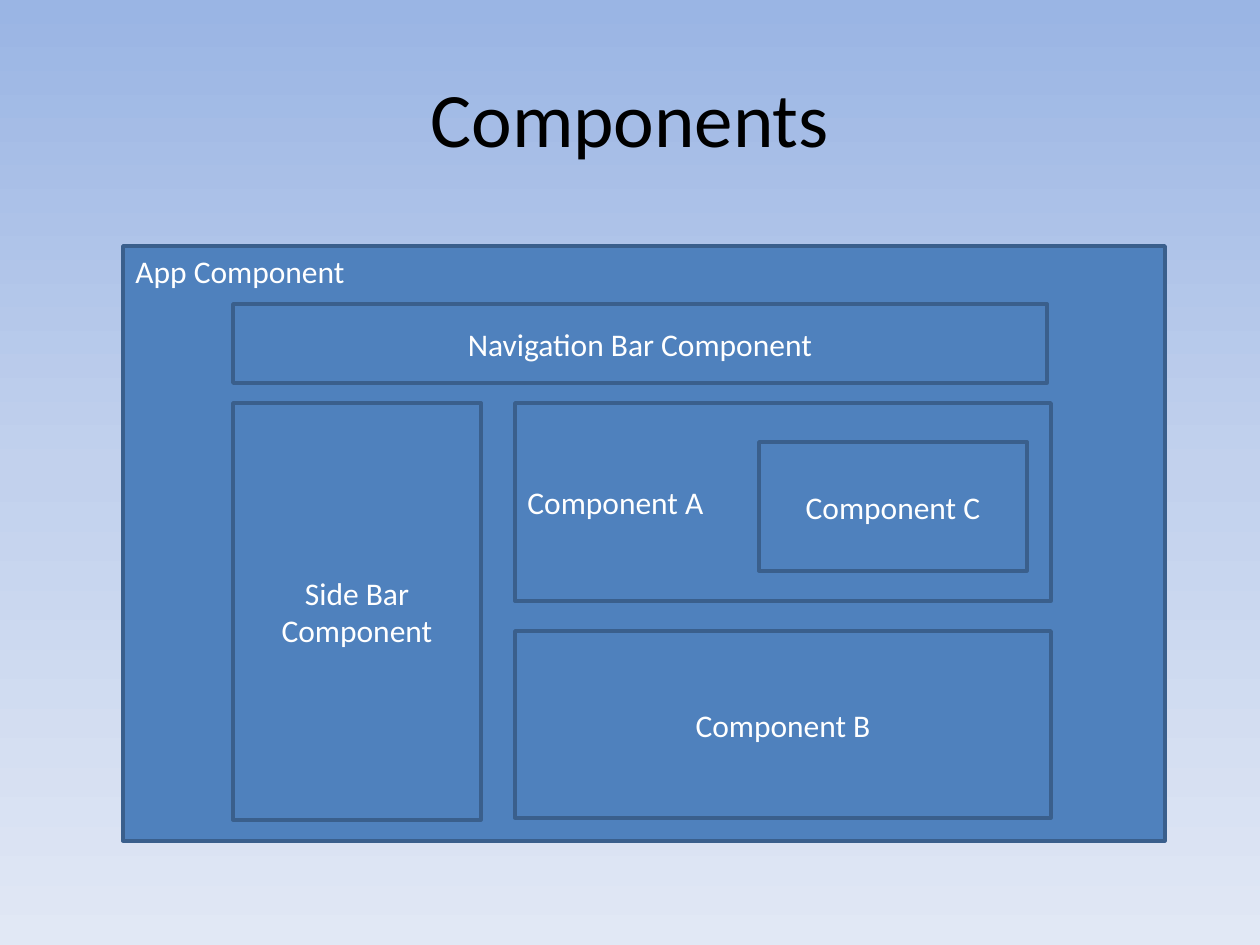
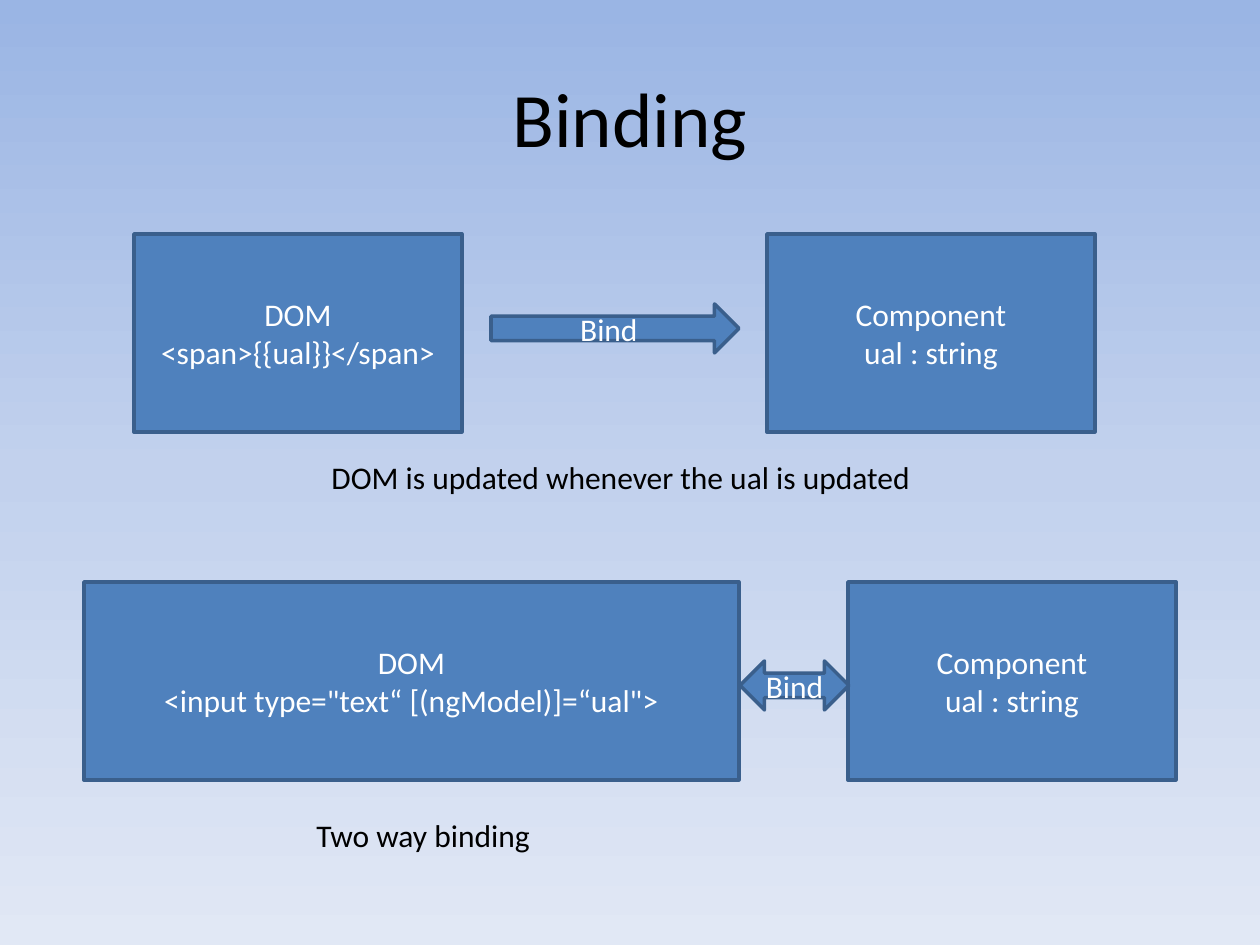
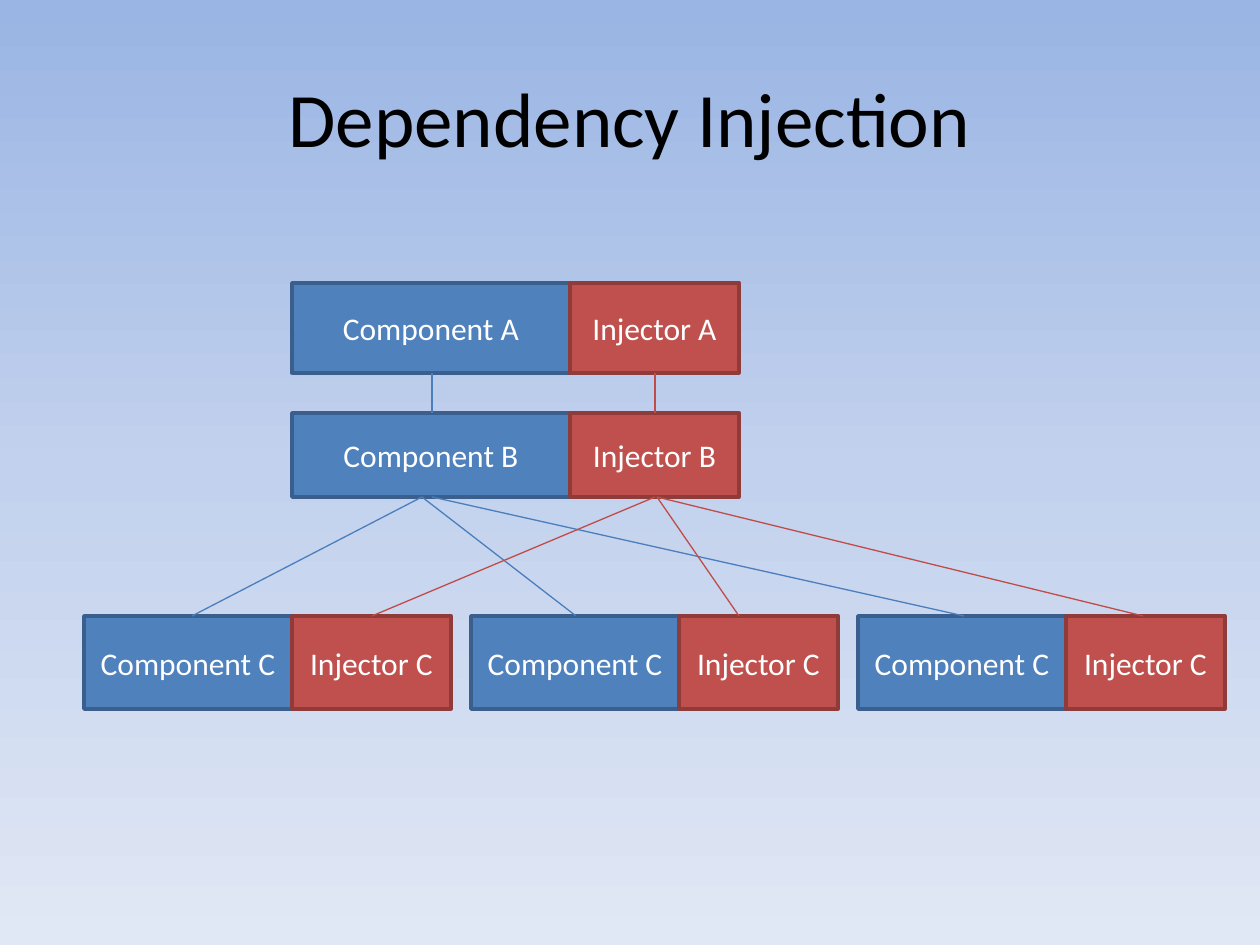
from copy import deepcopy

from pptx import Presentation
from pptx import util as u
from pptx.dml.color import RGBColor
from pptx.enum import shapes, text
from pptx.oxml.ns import qn

PIXEL = u.Inches(1) / 126
FONT = "Calibri"
BLACK, WHITE = "000000", "FFFFFF"
BLUE, RED = ("4F81BD", "3A5F8C"), ("C0504D", "8E3B39")  # fill, outline
BLUE_LINK, RED_LINK = "4B7EBC", "BF4C48"
BACKGROUND = [(0, "9AB5E4"), (0.5, "C2D1ED"), (1, "E1E8F5")]
RECTANGLE = shapes.MSO_SHAPE.RECTANGLE
LEFT, CENTER = text.PP_ALIGN.LEFT, text.PP_ALIGN.CENTER
TOP, MIDDLE = text.MSO_ANCHOR.TOP, text.MSO_ANCHOR.MIDDLE


def rgb(value):
    """Turn a hex string into a colour."""
    return RGBColor.from_string(value)


def add_text(slide, box, words, colors=None, kind=RECTANGLE, align=CENTER,
             anchor=MIDDLE, size=18, wrap=True):
    """Add a filled shape, or a plain text box when no colors are given."""
    place = [round(length * PIXEL) for length in box]
    if colors:
        shape = slide.shapes.add_shape(kind, *place)
        shape.shadow.inherit = False
        shape.fill.solid()
        shape.fill.fore_color.rgb = rgb(colors[0])
        shape.line.color.rgb = rgb(colors[1])
        shape.line.width = u.Pt(2)
    else:
        shape = slide.shapes.add_textbox(*place)
    frame = shape.text_frame
    frame.text = words
    frame.word_wrap = wrap
    frame.vertical_anchor = anchor
    if not wrap:
        frame.auto_size = text.MSO_AUTO_SIZE.SHAPE_TO_FIT_TEXT
    for paragraph in frame.paragraphs:
        paragraph.alignment = align
        paragraph.font.name = FONT
        paragraph.font.size = u.Pt(size)
        paragraph.font.color.rgb = rgb(WHITE if colors else BLACK)


presentation = Presentation()
presentation.slide_width = round(1260 * PIXEL)
presentation.slide_height = round(945 * PIXEL)

# Shared background: a vertical gradient on the master
master = presentation.slide_master
fill = master.background.fill
fill.gradient()
fill.gradient_angle = 270
stop_list = master.element.find(".//" + qn("a:gsLst"))
stop_list.insert(1, deepcopy(stop_list[0]))
for stop, (position, color) in zip(fill.gradient_stops, BACKGROUND):
    stop.position = position
    stop.color.rgb = rgb(color)

# Shared titles
slides = []
for title in ["Components", "Binding", "Dependency Injection"]:
    slide = presentation.slides.add_slide(presentation.slide_layouts[6])
    add_text(slide, (63, 38, 1134, 158), title, size=44)
    slides.append(slide)
components, binding, injection = slides

# Components: nested boxes
add_text(components, (123, 246, 1042, 595), "App Component", BLUE,
         align=LEFT, anchor=TOP)
for box, words, align in [
    ((233, 304, 814, 79), "Navigation Bar Component", CENTER),
    ((233, 403, 248, 417), "Side Bar Component", CENTER),
    ((515, 403, 536, 198), "Component A", LEFT),
    ((515, 631, 536, 187), "Component B", CENTER),
    ((759, 442, 268, 129), "Component C", CENTER),
]:
    add_text(components, box, words, BLUE, align=align)

# Binding: DOM, arrow and component in each row, with a caption below
for top, dom, arrow, kind, component_left, markup, caption, caption_box in [
    (234, (134, 328), (491, 304, 248, 49), shapes.MSO_SHAPE.RIGHT_ARROW, 767,
     "<span>{{ual}}</span>",
     "DOM is updated whenever the ual is updated", (319, 452, 611, 50)),
    (582, (84, 655), (740, 661, 109, 49), shapes.MSO_SHAPE.LEFT_RIGHT_ARROW, 848,
     '<input type="text“ [(ngModel)]=“ual">',
     "Two way binding", (304, 810, 242, 50)),
]:
    dom_left, dom_width = dom
    add_text(binding, (dom_left, top, dom_width, 198), "DOM\n" + markup, BLUE)
    add_text(binding, (component_left, top, 328, 198),
             "Component\nual : string", BLUE)
    add_text(binding, arrow, "Bind", BLUE, kind=kind)
    add_text(binding, caption_box, caption, align=LEFT, anchor=TOP, wrap=False)

# Dependency Injection: each component has its injector on the right
ROW_A, ROW_B, ROW_C = (283, 90), (413, 84), (616, 93)  # top, height
bottom_a, bottom_b = sum(ROW_A), sum(ROW_B)
pairs = [("A", 292, ROW_A, 278, 169), ("B", 292, ROW_B, 278, 169)]
pairs += [("C", 84 + 387 * column, ROW_C, 208, 159) for column in range(3)]
for letter, left, (top, height), width, injector_width in pairs:
    add_text(injection, (left, top, width, height), "Component " + letter, BLUE)
    add_text(injection, (left + width, top, injector_width, height),
             "Injector " + letter, RED)

for color, trunk, branches in [
    (BLUE_LINK, 432, [(422, 192), (422, 576), (432, 964)]),
    (RED_LINK, 655, [(655, 372), (657, 739), (657, 1143)]),
]:
    links = [(trunk, bottom_a, trunk, ROW_B[0])]
    links += [(start, bottom_b, end, ROW_C[0]) for start, end in branches]
    for link in links:
        connector = injection.shapes.add_connector(
            shapes.MSO_CONNECTOR.STRAIGHT, *[round(length * PIXEL) for length in link])
        connector.line.color.rgb = rgb(color)
        connector.line.width = u.Pt(0.75)
        properties = connector._element.spPr
        properties.append(properties.makeelement(qn("a:effectLst"), {}))

presentation.save("out.pptx")
